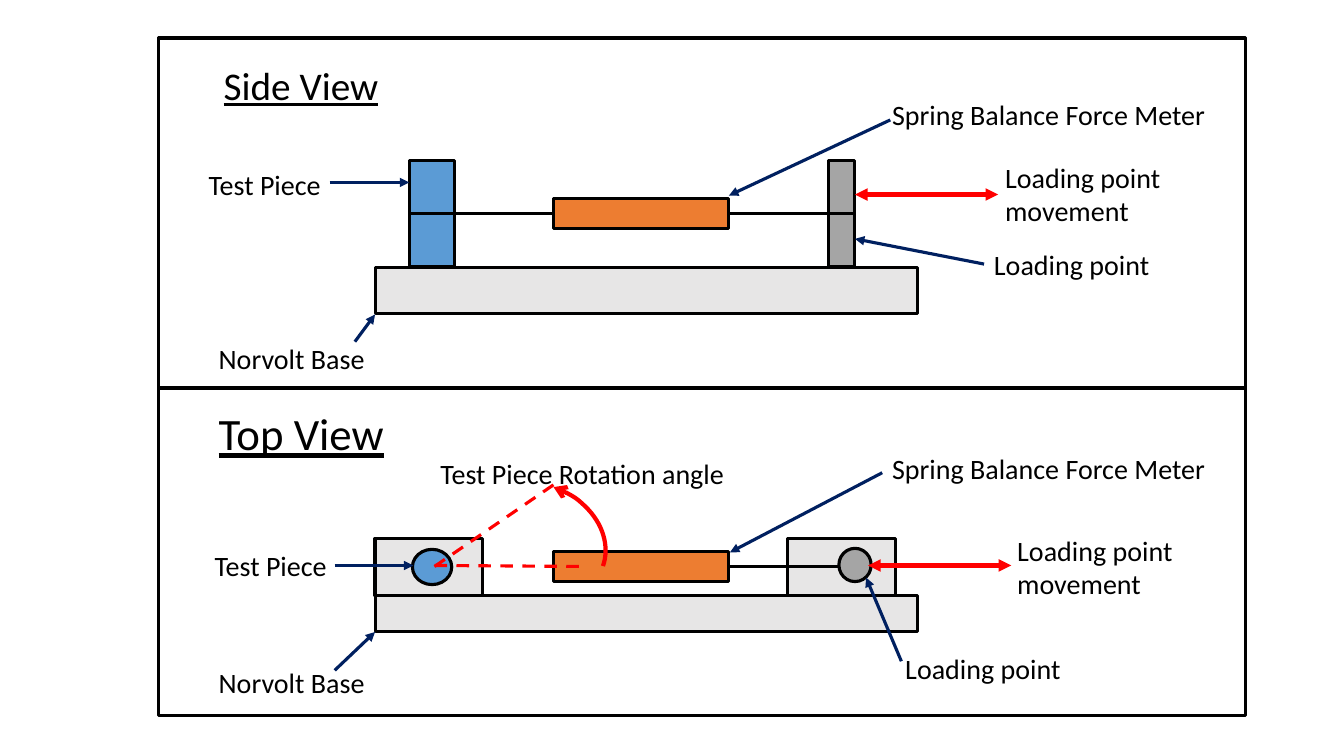
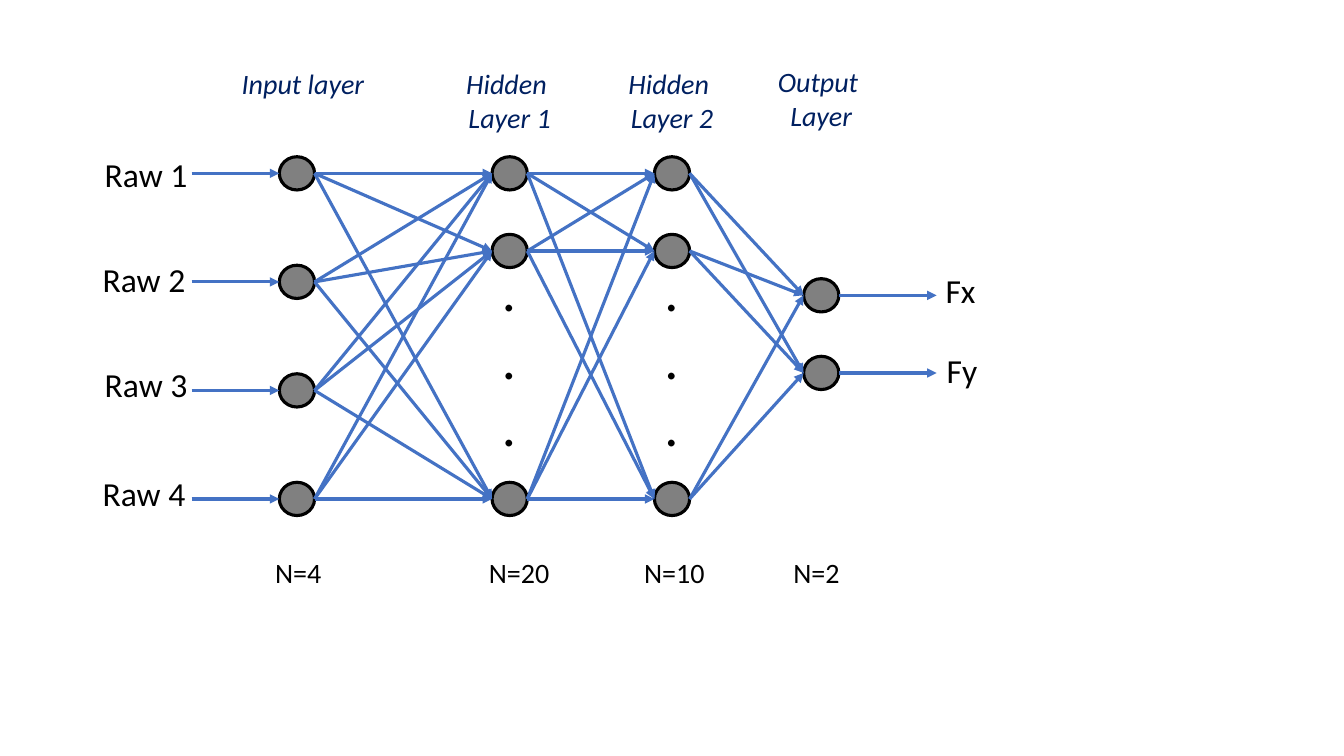
from dataclasses import dataclass
from itertools import product

from lxml import etree
from pptx import Presentation
from pptx.dml.color import RGBColor
from pptx.enum.dml import MSO_LINE_DASH_STYLE
from pptx.enum.shapes import MSO_CONNECTOR_TYPE, MSO_SHAPE
from pptx.enum.text import MSO_AUTO_SIZE, PP_ALIGN
from pptx.oxml.ns import qn
from pptx.shapes.autoshape import Shape
from pptx.slide import Slide
from pptx.util import Inches, Pt

RECT, OVAL, ARC = MSO_SHAPE.RECTANGLE, MSO_SHAPE.OVAL, MSO_SHAPE.ARC
STRAIGHT = MSO_CONNECTOR_TYPE.STRAIGHT
DASH = MSO_LINE_DASH_STYLE.DASH
FIT_TEXT = MSO_AUTO_SIZE.SHAPE_TO_FIT_TEXT
LEFT, CENTER = PP_ALIGN.LEFT, PP_ALIGN.CENTER

FONT = "Calibri"
COLORS = {
    "ink": "000000",
    "navy": "002060",
    "red": "FF0000",
    "blue": "4472C4",
    "base": "E7E6E6",
    "test piece": "5B9BD5",
    "loading point": "A5A5A5",
    "meter": "ED7D31",
    "neuron": "808080",
}


@dataclass(frozen=True)
class Stroke:
    color: str
    width: float = 2.25
    dash: MSO_LINE_DASH_STYLE | None = None
    head: str | None = None
    tail: str | None = None


@dataclass(frozen=True)
class Block:
    left: float
    top: float
    width: float
    height: float
    fill: str | None = None
    kind: MSO_SHAPE = RECT
    stroke: Stroke = Stroke("ink")


@dataclass(frozen=True)
class Link:
    start: tuple[float, float]
    end: tuple[float, float]
    stroke: Stroke


@dataclass(frozen=True)
class TextStyle:
    size: int = 20
    color: str = "ink"
    italic: bool = False
    underline: bool = False
    align: PP_ALIGN = LEFT
    wrap: bool = False


@dataclass(frozen=True)
class Label:
    lines: tuple[str, ...]
    left: float
    top: float
    width: float
    height: float = 0.44
    style: TextStyle = TextStyle()


@dataclass(frozen=True)
class Layer:
    heading: tuple[str, ...]
    heading_left: float
    heading_top: float
    heading_width: float
    left: float
    rows: tuple[float, ...]
    count: str
    count_left: float
    count_width: float


WIRE = Stroke("ink")
POINTER = Stroke("navy", tail="triangle")
MOVEMENT = Stroke("red", 3, head="triangle", tail="triangle")
ANGLE_SIDE = Stroke("red", dash=DASH)
ROTATION = Stroke("red", 3, tail="arrow")
SIGNAL = Stroke("blue", tail="triangle")

BODY = TextStyle()
LAYER_HEADING = TextStyle(color="navy", italic=True, align=CENTER)
CHANNEL = TextStyle(size=24)
DOTS = TextStyle(size=40, wrap=True)


def rgb(name: str) -> RGBColor:
    return RGBColor.from_string(COLORS[name])


def apply_stroke(outlined, stroke: Stroke) -> None:
    line = outlined.line
    line.color.rgb = rgb(stroke.color)
    formats = {"width": Pt(stroke.width), "dash_style": stroke.dash}
    for attribute, value in formats.items():
        if value is not None:
            setattr(line, attribute, value)
    properties = outlined._element.spPr.find(qn("a:ln"))
    for tag, arrow in (("a:headEnd", stroke.head), ("a:tailEnd", stroke.tail)):
        if arrow:
            etree.SubElement(properties, qn(tag), type=arrow)


def draw_block(slide: Slide, block: Block) -> Shape:
    shape = slide.shapes.add_shape(
        block.kind, Inches(block.left), Inches(block.top),
        Inches(block.width), Inches(block.height))
    shape.shadow.inherit = False
    if block.fill:
        shape.fill.solid()
        shape.fill.fore_color.rgb = rgb(block.fill)
    else:
        shape.fill.background()
    apply_stroke(shape, block.stroke)
    return shape


def draw_link(slide: Slide, link: Link) -> None:
    ends = [Inches(value) for value in (*link.start, *link.end)]
    connector = slide.shapes.add_connector(STRAIGHT, *ends)
    apply_stroke(connector, link.stroke)
    etree.SubElement(connector._element.spPr, qn("a:effectLst"))


def draw_label(slide: Slide, label: Label) -> None:
    style = label.style
    frame = slide.shapes.add_textbox(
        Inches(label.left), Inches(label.top),
        Inches(label.width), Inches(label.height)).text_frame
    frame.word_wrap = style.wrap
    frame.auto_size = FIT_TEXT
    formats = {"name": FONT, "size": Pt(style.size),
               "italic": style.italic, "underline": style.underline}
    for index, line in enumerate(label.lines):
        paragraph = frame.add_paragraph() if index else frame.paragraphs[0]
        paragraph.alignment = style.align
        run = paragraph.add_run()
        run.text = line
        run.font.color.rgb = rgb(style.color)
        for attribute, value in formats.items():
            setattr(run.font, attribute, value)


def meter_label(top: float) -> Label:
    return Label(("Spring Balance Force Meter",), 8.75, top, 3.34)


def base_label(top: float) -> Label:
    return Label(("Norvolt Base",), 2.07, top, 1.69)


def test_piece_label(left: float, top: float) -> Label:
    return Label(("Test Piece",), left, top, 1.33)


def loading_label(left: float, top: float) -> Label:
    return Label(("Loading point",), left, top, 1.75)


def movement_label(left: float, top: float) -> Label:
    return Label(("Loading point ", "movement"), left, top, 1.82, 0.77)


def view_title(text: str, left: float, top: float, width: float,
               height: float, size: int) -> Label:
    return Label((text,), left, top, width, height,
                 TextStyle(size=size, underline=True))


RIG_PARTS = (
    Block(3.72, 2.65, 5.38, 0.46, "base"),
    Block(4.06, 1.59, 0.45, 1.06, "test piece"),
    Block(8.22, 1.59, 0.26, 1.06, "loading point"),
    Block(5.49, 1.97, 1.74, 0.3, "meter"),
    Block(3.72, 5.91, 5.38, 0.36, "base"),
    Block(3.72, 5.34, 1.07, 0.57, "base"),
    Block(7.81, 5.34, 1.07, 0.57, "base"),
    Block(8.32, 5.44, 0.32, 0.33, "loading point", OVAL),
    Block(4.09, 5.45, 0.39, 0.35, "test piece", OVAL),
    Block(5.49, 5.47, 1.74, 0.3, "meter"),
)
RIG_LINKS = (
    Link((7.23, 2.12), (8.48, 2.12), WIRE),
    Link((5.49, 2.12), (4.06, 2.12), WIRE),
    Link((7.23, 5.62), (8.32, 5.62), WIRE),
    Link((4.31, 5.62), (5.49, 4.81), ANGLE_SIDE),
    Link((4.31, 5.61), (5.82, 5.62), ANGLE_SIDE),
    Link((3.52, 3.39), (3.72, 3.12), POINTER),
    Link((3.27, 1.81), (4.06, 1.81), POINTER),
    Link((9.76, 2.62), (8.48, 2.37), POINTER),
    Link((8.83, 1.19), (7.23, 1.94), POINTER),
    Link((3.32, 6.65), (3.72, 6.27), POINTER),
    Link((3.32, 5.61), (4.1, 5.61), POINTER),
    Link((8.94, 6.56), (8.59, 5.73), POINTER),
    Link((8.75, 4.69), (7.24, 5.48), POINTER),
    Link((8.48, 1.93), (9.9, 1.93), MOVEMENT),
    Link((8.61, 5.61), (10.03, 5.61), MOVEMENT),
)
RIG_LABELS = (
    view_title("Side View", 2.12, 0.56, 1.75, 0.57, 28),
    meter_label(0.92),
    test_piece_label(1.97, 1.61),
    movement_label(9.87, 1.54),
    loading_label(9.76, 2.41),
    base_label(3.34),
    view_title("Top View", 2.07, 3.98, 1.86, 0.64, 32),
    Label(("Test Piece Rotation angle",), 4.27, 4.48, 3.05),
    meter_label(4.43),
    test_piece_label(2.03, 5.39),
    movement_label(9.99, 5.24),
    loading_label(8.88, 6.41),
    base_label(6.55),
)
ROTATION_ARC = Block(4.72, 4.66, 1.16, 1.44, None, ARC, ROTATION)
VIEW_FRAMES = (Block(1.57, 0.38, 10.78, 6.72), Block(1.57, 0.37, 10.78, 3.48))

NODE_WIDTH, NODE_HEIGHT = 0.35, 0.33
FIRST_ROW, LAST_ROW = 1.72, 4.95
INPUT_ROWS = tuple(FIRST_ROW + (LAST_ROW - FIRST_ROW) * i / 3 for i in range(4))
HIDDEN_ROWS = (FIRST_ROW, 2.49, LAST_ROW)
OUTPUT_ROWS = (2.93, 3.7)
LAYERS = (
    Layer(("Input layer",), 2.29, 0.61, 1.43, 2.77, INPUT_ROWS, "N=4", 2.63, 0.66),
    Layer(("Hidden ", "Layer 1"), 4.52, 0.61, 1.07, 4.88, HIDDEN_ROWS,
          "N=20", 4.75, 0.81),
    Layer(("Hidden ", "Layer 2"), 6.13, 0.61, 1.07, 6.49, HIDDEN_ROWS,
          "N=10", 6.29, 0.81),
    Layer(("Output ", "Layer"), 7.61, 0.59, 1.07, 7.97, OUTPUT_ROWS,
          "N=2", 7.77, 0.66),
)
CHANNELS = (
    Label(("Raw 1",), 0.94, 1.48, 1.03, 0.5, CHANNEL),
    Label(("Raw 2",), 0.92, 2.52, 1.03, 0.5, CHANNEL),
    Label(("Raw 3",), 0.94, 3.56, 1.03, 0.5, CHANNEL),
    Label(("Raw 4",), 0.92, 4.64, 1.03, 0.5, CHANNEL),
    Label(("Fx",), 9.28, 2.63, 0.5, 0.5, CHANNEL),
    Label(("Fy",), 9.29, 3.42, 0.51, 0.5, CHANNEL),
)


def build_rig(slide: Slide) -> None:
    for part in RIG_PARTS:
        draw_block(slide, part)
    for link in RIG_LINKS:
        draw_link(slide, link)
    rotation_arc = draw_block(slide, ROTATION_ARC)
    rotation_arc.rotation = 289.1
    rotation_arc._element.spPr.find(qn("a:xfrm")).set("flipV", "1")
    for label in RIG_LABELS:
        draw_label(slide, label)
    for frame in VIEW_FRAMES:
        draw_block(slide, frame)


def draw_layer(slide: Slide, layer: Layer) -> None:
    for row in layer.rows:
        draw_block(slide, Block(layer.left, row - NODE_HEIGHT / 2, NODE_WIDTH,
                                NODE_HEIGHT, "neuron", OVAL))
    if layer.rows == HIDDEN_ROWS:
        draw_label(slide, Label((".",) * 3, layer.left, 2.49, 0.9, 2.12, DOTS))
    draw_label(slide, Label(layer.heading, layer.heading_left, layer.heading_top,
                            layer.heading_width, 0.1 + 0.33 * len(layer.heading),
                            LAYER_HEADING))
    draw_label(slide, Label((layer.count,), layer.count_left, 5.46,
                            layer.count_width))


def build_network(slide: Slide) -> None:
    for layer in LAYERS:
        draw_layer(slide, layer)
    for source, target in zip(LAYERS, LAYERS[1:]):
        for start, end in product(source.rows, target.rows):
            draw_link(slide, Link((source.left + NODE_WIDTH, start),
                                  (target.left, end), SIGNAL))
    for row in INPUT_ROWS:
        draw_link(slide, Link((1.9, row), (LAYERS[0].left, row), SIGNAL))
    for row in OUTPUT_ROWS:
        draw_link(slide, Link((LAYERS[-1].left + NODE_WIDTH, row), (9.29, row), SIGNAL))
    for channel in CHANNELS:
        draw_label(slide, channel)


deck = Presentation()
deck.slide_width, deck.slide_height = Inches(13.33), Inches(7.5)
blank = deck.slide_layouts.get_by_name("Blank")
for build in (build_rig, build_network):
    build(deck.slides.add_slide(blank))
deck.save("out.pptx")
